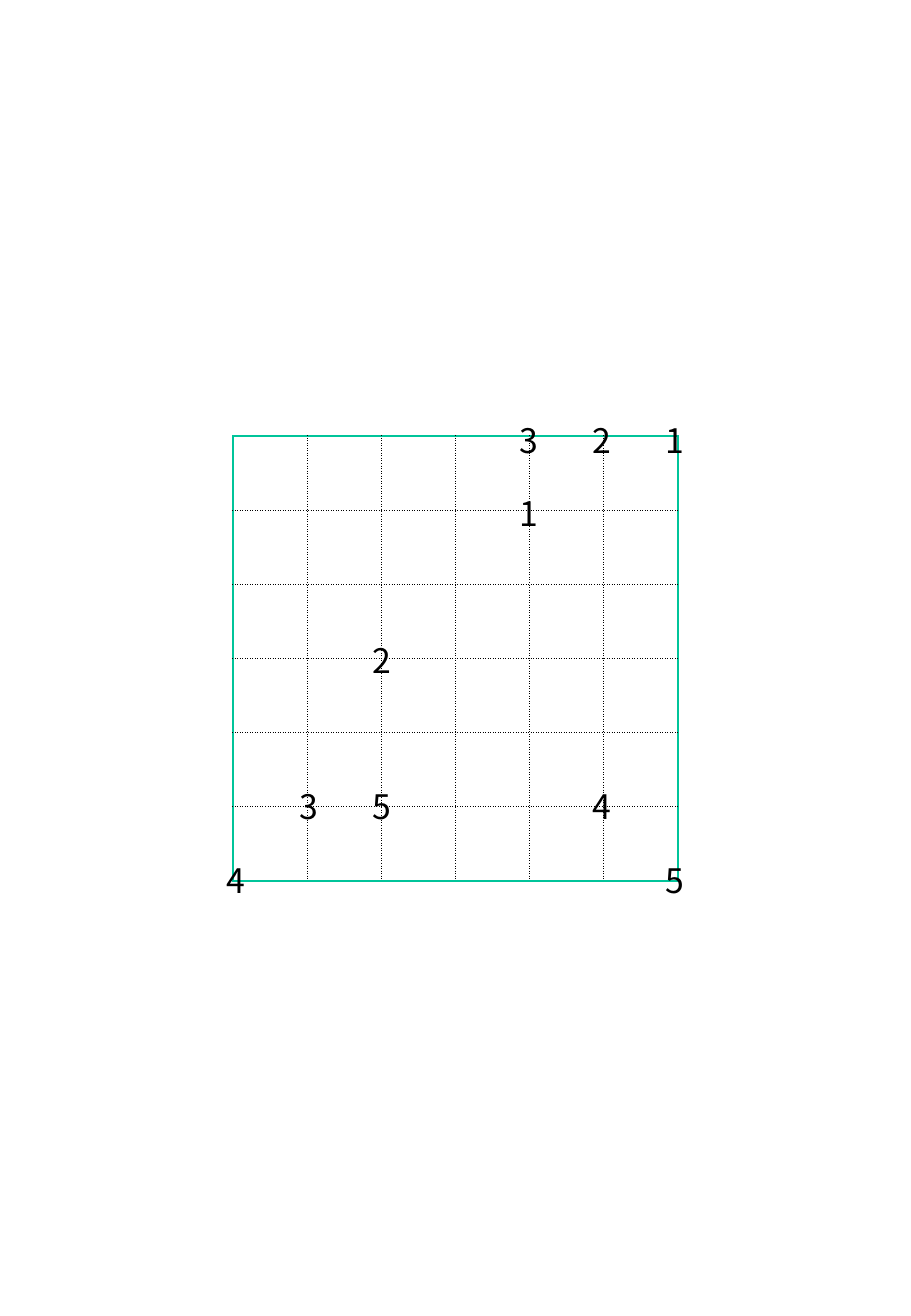
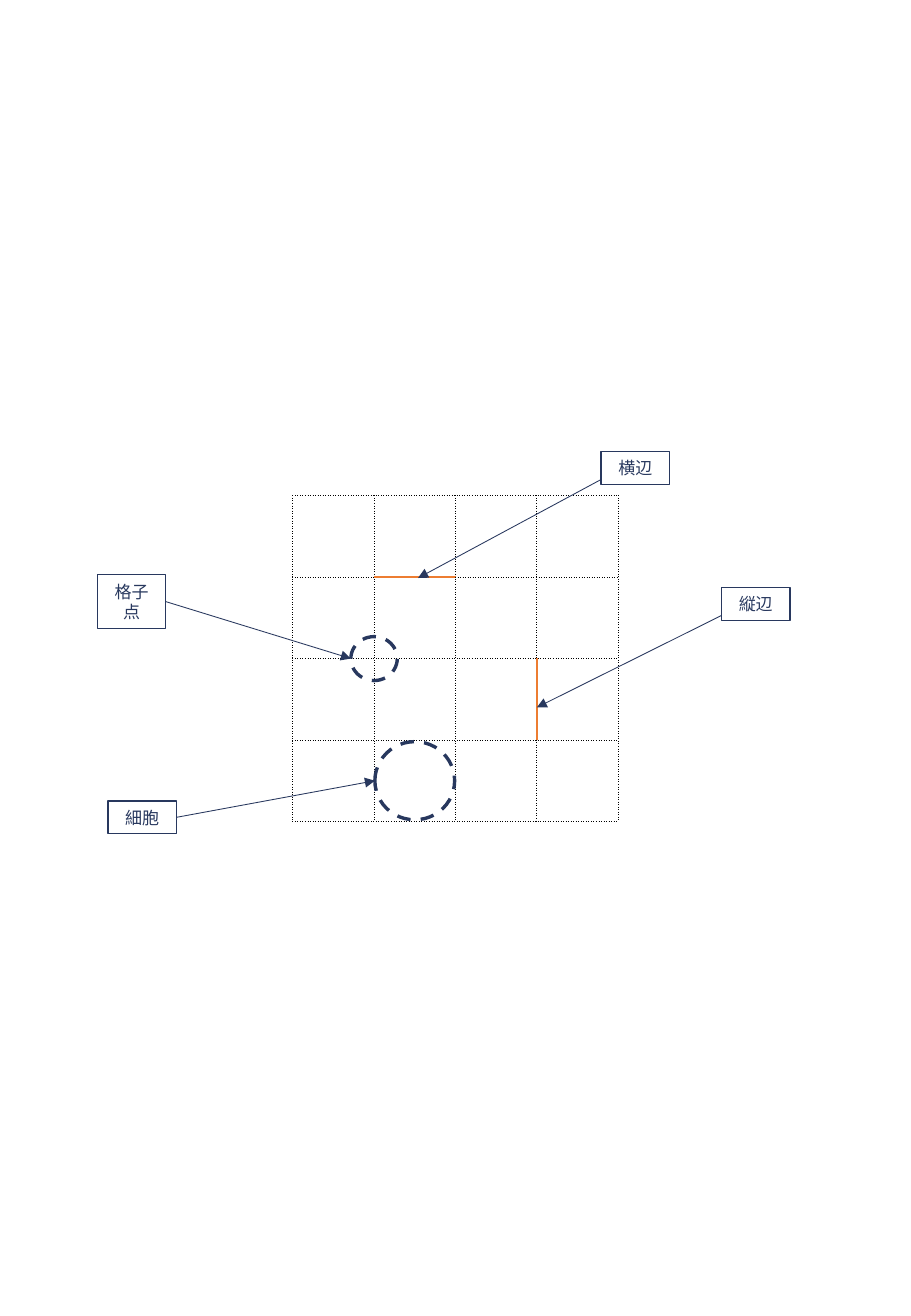
from dataclasses import dataclass
from typing import Callable, NamedTuple

from pptx import Presentation
from pptx.dml.color import RGBColor
from pptx.enum.dml import MSO_LINE
from pptx.enum.shapes import MSO_CONNECTOR as Link, MSO_SHAPE as Kind
from pptx.enum.text import MSO_ANCHOR as Anchor, PP_ALIGN as Align
from pptx.oxml.ns import qn
from pptx.oxml.xmlchemy import OxmlElement
from pptx.util import Inches, Pt

GREEN, ORANGE, NAVY, BLACK = "00C49A", "ED7D31", "28385E", "000000"
PLAIN = "{2D5ABB26-0587-4C30-8999-92F81FD0307C}"  # table style without grid
BOX_W = 0.84
DROP = 0.34  # start of a left-going arrow below the top of its box


class Pen(NamedTuple):
    color: str
    width: float
    dash: str = "solid"


DOTS = Pen(BLACK, 0.5, "dot")
FRAME = Pen(GREEN, 1.5)
MARK = Pen(ORANGE, 1.5)

# Pen for the segment in a slot of a horizontal ("h") or vertical ("v") line
Ruling = Callable[[str, int, int], Pen]


@dataclass(frozen=True)
class Grid:
    left: float
    top: float
    size: float
    count: int

    @property
    def step(self) -> float:
        return self.size / self.count

    def span(self, cells: float):
        return Inches(cells * self.step)

    def at(self, col: float, row: float) -> tuple:
        return (Inches(self.left + col * self.step),
                Inches(self.top + row * self.step))


class Ring(NamedTuple):
    """Dashed ellipse, given by its centre and size in cells."""
    col: float
    row: float
    wide: float
    high: float


class Label(NamedTuple):
    """Boxed name, with the grid point that its arrow shows."""
    text: str
    col: float
    row: float
    high: float
    goal: tuple[float, float]


BOARD = Grid(1.92, 3.59, 3.66, 6)
SPOTS = Grid(1.64, 3.31, 4.22, 7)
CELLS = Grid(2.41, 4.08, 2.68, 4)

DIGITS = {(0, 4): "3", (0, 5): "2", (0, 6): "1", (1, 4): "1", (3, 2): "2",
          (5, 1): "3", (5, 2): "5", (5, 5): "4", (6, 0): "4", (6, 6): "5"}
MARKS = {("h", 1, 1), ("v", 3, 2)}
POINT = Ring(1, 2, 0.57, 0.54)
CELL = Ring(1.5, 3.5, 0.98, 0.96)
LABELS = [
    Label("横辺", 3.79, -0.54, 0.4, (1.54, 1.01)),
    Label("縦辺", 5.27, 1.13, 0.4, (3, 2.6)),
    Label("格子点", -2.4, 0.97, 0.66, (POINT.col - POINT.wide / 2, POINT.row)),
    Label("細胞", -2.27, 3.75, 0.4, (CELL.col - CELL.wide / 2, CELL.row)),
]


def rgb(code: str) -> RGBColor:
    return RGBColor.from_string(code)


def write(frame, text: str, *, size: float, font: str, color: str) -> None:
    para = frame.paragraphs[0]
    para.alignment = Align.CENTER
    run = para.add_run()
    run.text = text
    run.font.size = Pt(size)
    run.font.name = font
    run.font.color.rgb = rgb(color)
    if font != "Calibri":
        east = OxmlElement("a:ea")
        east.set("typeface", font)
        run.font._element.append(east)


def edge(cell, side: str, pen: Pen) -> None:
    """Draw one border of a cell; side is L, R, T or B."""
    line = OxmlElement(f"a:ln{side}")
    line.set("w", str(Pt(pen.width)))
    fill = OxmlElement("a:solidFill")
    color = OxmlElement("a:srgbClr")
    color.set("val", pen.color)
    fill.append(color)
    dash = OxmlElement("a:prstDash")
    dash.set("val", pen.dash)
    line.extend([fill, dash])
    cell._tc.get_or_add_tcPr().append(line)


def table(slide, grid: Grid, rule: Ruling | None = None):
    """Add a clear square table, with borders if a ruling is given."""
    full = grid.span(grid.count)
    shape = slide.shapes.add_table(grid.count, grid.count, *grid.at(0, 0),
                                   full, full)
    tab = shape.table
    tab.first_row = tab.horz_banding = False
    tab._tbl.tblPr.find(qn("a:tableStyleId")).text = PLAIN
    for line in (*tab.columns, *tab.rows):
        if hasattr(line, "width"):
            line.width = grid.span(1)
        else:
            line.height = grid.span(1)
    for row in range(grid.count):
        for col in range(grid.count):
            cell = tab.cell(row, col)
            if rule:
                edge(cell, "L", rule("v", col, row))
                edge(cell, "R", rule("v", col + 1, row))
                edge(cell, "T", rule("h", row, col))
                edge(cell, "B", rule("h", row + 1, col))
            cell.fill.background()
            cell.margin_left = cell.margin_right = 0
            cell.margin_top = cell.margin_bottom = 0
            cell.vertical_anchor = Anchor.MIDDLE
    return tab


def outline(slide, kind, spot: tuple, wide, high, width: float):
    shape = slide.shapes.add_shape(kind, *spot, wide, high)
    shape.shadow.inherit = False
    shape.fill.background()
    shape.line.color.rgb = rgb(NAVY)
    shape.line.width = Pt(width)
    return shape


def ring(slide, grid: Grid, item: Ring) -> None:
    spot = grid.at(item.col - item.wide / 2, item.row - item.high / 2)
    shape = outline(slide, Kind.OVAL, spot, grid.span(item.wide),
                    grid.span(item.high), 2)
    shape.line.dash_style = MSO_LINE.DASH


def label(slide, grid: Grid, item: Label) -> None:
    box = outline(slide, Kind.RECTANGLE, grid.at(item.col, item.row),
                  grid.span(BOX_W), grid.span(item.high), 0.75)
    box.text_frame.word_wrap = True
    box.text_frame.vertical_anchor = Anchor.MIDDLE
    write(box.text_frame, item.text, size=10.1, font="Calibri", color=NAVY)

    arrow = slide.shapes.add_connector(
        Link.STRAIGHT, *grid.at(item.col, item.row + DROP),
        *grid.at(*item.goal))
    if item.goal[0] > item.col:
        arrow.begin_connect(box, 3)
    arrow.line.color.rgb = rgb(NAVY)
    arrow.line.width = Pt(0.5)
    head = OxmlElement("a:tailEnd")
    head.set("type", "triangle")
    arrow.line._get_or_add_ln().append(head)
    arrow._element.spPr.append(OxmlElement("a:effectLst"))


def puzzle(slide) -> None:
    def rule(_way: str, line: int, _slot: int) -> Pen:
        return FRAME if line in (0, BOARD.count) else DOTS

    table(slide, BOARD, rule)
    spots = table(slide, SPOTS)
    for (row, col), digit in DIGITS.items():
        write(spots.cell(row, col).text_frame, digit, size=20,
              font="Noto Sans CJK JP", color=BLACK)


def terms(slide) -> None:
    def rule(way: str, line: int, slot: int) -> Pen:
        return MARK if (way, line, slot) in MARKS else DOTS

    table(slide, CELLS, rule)
    for item in (POINT, CELL):
        ring(slide, CELLS, item)
    for item in LABELS:
        label(slide, CELLS, item)


def main() -> None:
    deck = Presentation()
    deck.slide_width, deck.slide_height = Inches(7.5), Inches(10.83)
    for draw in (puzzle, terms):
        draw(deck.slides.add_slide(deck.slide_layouts[6]))
    deck.save("out.pptx")


if __name__ == "__main__":
    main()
